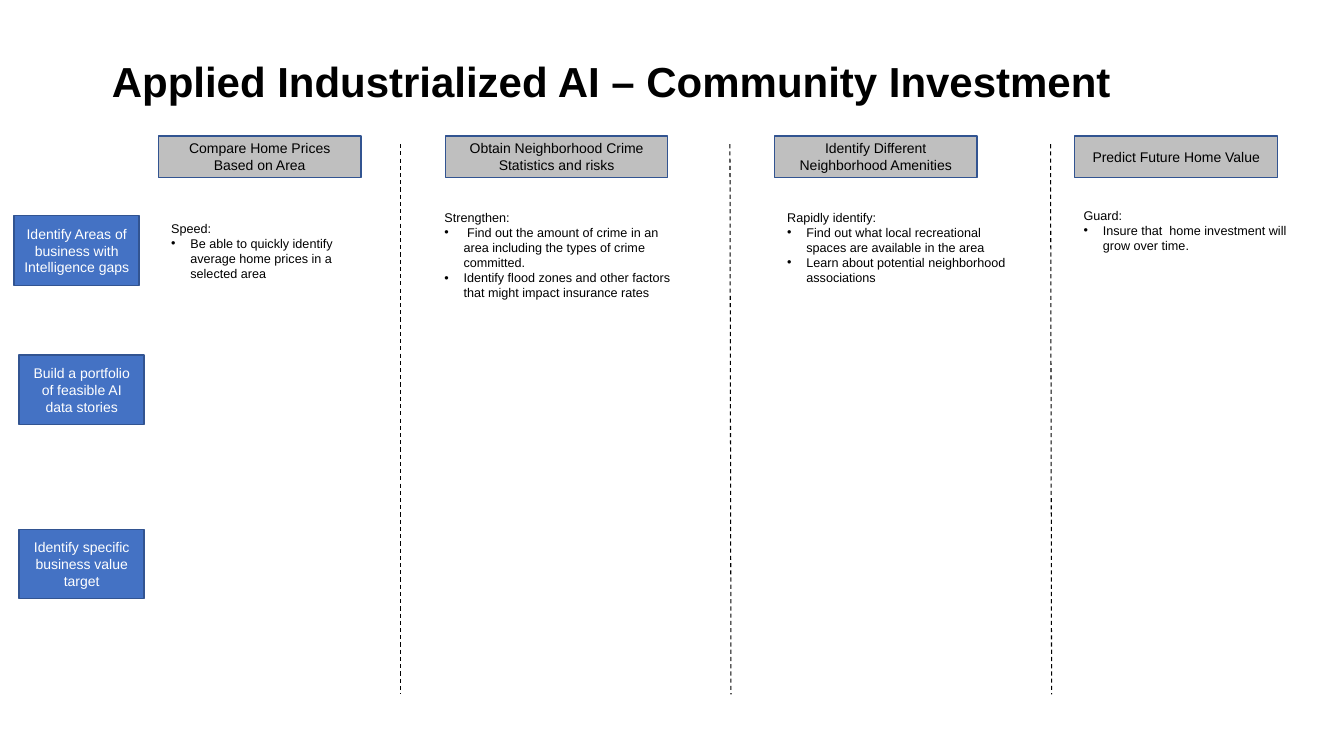
from lxml.etree import SubElement
from pptx import Presentation
from pptx.dml.color import RGBColor
from pptx.enum.dml import MSO_LINE
from pptx.enum.shapes import MSO_CONNECTOR as Connector, MSO_SHAPE as Shape
from pptx.enum.text import MSO_ANCHOR as Anchor, MSO_AUTO_SIZE as AutoSize, PP_ALIGN as Align
from pptx.oxml.ns import qn
from pptx.util import Inches, Pt

TITLE = "Applied Industrialized AI – Community Investment"
# header, (left, width), lead-in, bullets, (left, top, width, height) of the notes
COLUMNS = [
    ("Compare Home Prices Based on Area", (1.57, 2.01), "Speed:",
     ["Be able to quickly identify average home prices in a selected area"],
     (1.6, 2.14, 2.01, 0.71)),
    ("Obtain Neighborhood Crime Statistics and risks", (4.42, 2.2), "Strengthen:",
     [" Find out the amount of crime in an area including the types of crime committed.",
      "Identify flood zones and other factors that might impact insurance rates"],
     (4.31, 2.03, 2.47, 1.01)),
    ("Identify Different Neighborhood Amenities", (7.68, 2.01), "Rapidly identify:",
     ["Find out what local recreational spaces are available in the area",
      "Learn about potential neighborhood associations"],
     (7.71, 2.03, 2.47, 0.86)),
    ("Predict Future Home Value", (10.66, 2.01), "Guard:",
     ["Insure that  home investment will grow over time."],
     (10.65, 2.01, 2.47, 0.56)),
]
STEPS = [  # text, left, top
    ("Identify Areas of business with Intelligence gaps", 0.14, 2.14),
    ("Build a portfolio of feasible AI data stories", 0.19, 3.52),
    ("Identify specific business value target", 0.19, 5.25),
]
DIVIDERS = [(3.97, 3.97), (7.24, 7.25), (10.42, 10.43)]  # x at top, x at bottom
DIVIDER_TOP, DIVIDER_BOTTOM = 1.43, 6.89
HEADER_TOP, HEADER_HEIGHT = 1.35, 0.41
STEP_WIDTH, STEP_HEIGHT = 1.24, 0.69
BULLET_INDENT = 0.19
BLACK, WHITE, GREY, BLUE, NAVY = "000000", "FFFFFF", "BFBFBF", "4472C4", "325491"


def color(hex_code):
    return RGBColor.from_string(hex_code)


def style(para, size, hex_code, align=Align.LEFT):
    para.alignment = align
    para.font.name = "Arial"
    para.font.size = Pt(size)
    para.font.color.rgb = color(hex_code)


def add_title(page):
    title = page.shapes.title
    title.left, title.top, title.width, title.height = map(Inches, (1.01, 0.26, 10.66, 0.85))
    frame = title.text_frame
    frame.text = TITLE
    frame.auto_size = AutoSize.NONE
    frame.vertical_anchor = Anchor.BOTTOM
    para = frame.paragraphs[0]
    style(para, 30, BLACK)
    para.font.bold = True
    para.line_spacing = 0.9


def add_label(page, text, place, fill, text_color):
    box = page.shapes.add_shape(Shape.RECTANGLE, *map(Inches, place))
    box.shadow.inherit = False
    box.fill.solid()
    box.fill.fore_color.rgb = color(fill)
    box.line.color.rgb = color(NAVY)
    box.line.width = Pt(1)
    frame = box.text_frame
    frame.text = text
    frame.word_wrap = True
    frame.vertical_anchor = Anchor.MIDDLE
    style(frame.paragraphs[0], 10, text_color, Align.CENTER)


def add_bullet(para):
    properties = para._p.get_or_add_pPr()
    properties.set("marL", str(Inches(BULLET_INDENT)))
    properties.set("indent", str(-Inches(BULLET_INDENT)))
    SubElement(properties, qn("a:buFont")).set("typeface", "Arial")
    SubElement(properties, qn("a:buChar")).set("char", "•")


def add_notes(page, lead, bullets, place):
    frame = page.shapes.add_textbox(*map(Inches, place)).text_frame
    frame.word_wrap = True
    frame.auto_size = AutoSize.SHAPE_TO_FIT_TEXT
    frame.text = "\n".join([lead, *bullets])
    for number, para in enumerate(frame.paragraphs):
        if number:
            add_bullet(para)
        style(para, 9, BLACK)


def add_divider(page, top_x, bottom_x):
    ends = map(Inches, (top_x, DIVIDER_TOP, bottom_x, DIVIDER_BOTTOM))
    divider = page.shapes.add_connector(Connector.STRAIGHT, *ends)
    divider.line.color.rgb = color(BLACK)
    divider.line.width = Pt(0.75)
    divider.line.dash_style = MSO_LINE.DASH
    SubElement(divider._element.spPr, qn("a:effectLst"))


def main():
    deck = Presentation()
    deck.slide_width, deck.slide_height = Inches(13.33), Inches(7.5)
    page = deck.slides.add_slide(deck.slide_layouts.get_by_name("Title Only"))
    add_title(page)
    for header, (left, width), *_ in COLUMNS:
        add_label(page, header, (left, HEADER_TOP, width, HEADER_HEIGHT), GREY, BLACK)
    for step, left, top in STEPS:
        add_label(page, step, (left, top, STEP_WIDTH, STEP_HEIGHT), BLUE, WHITE)
    for _, _, lead, bullets, place in COLUMNS:
        add_notes(page, lead, bullets, place)
    for top_x, bottom_x in DIVIDERS:
        add_divider(page, top_x, bottom_x)
    deck.save("out.pptx")


if __name__ == "__main__":
    main()
